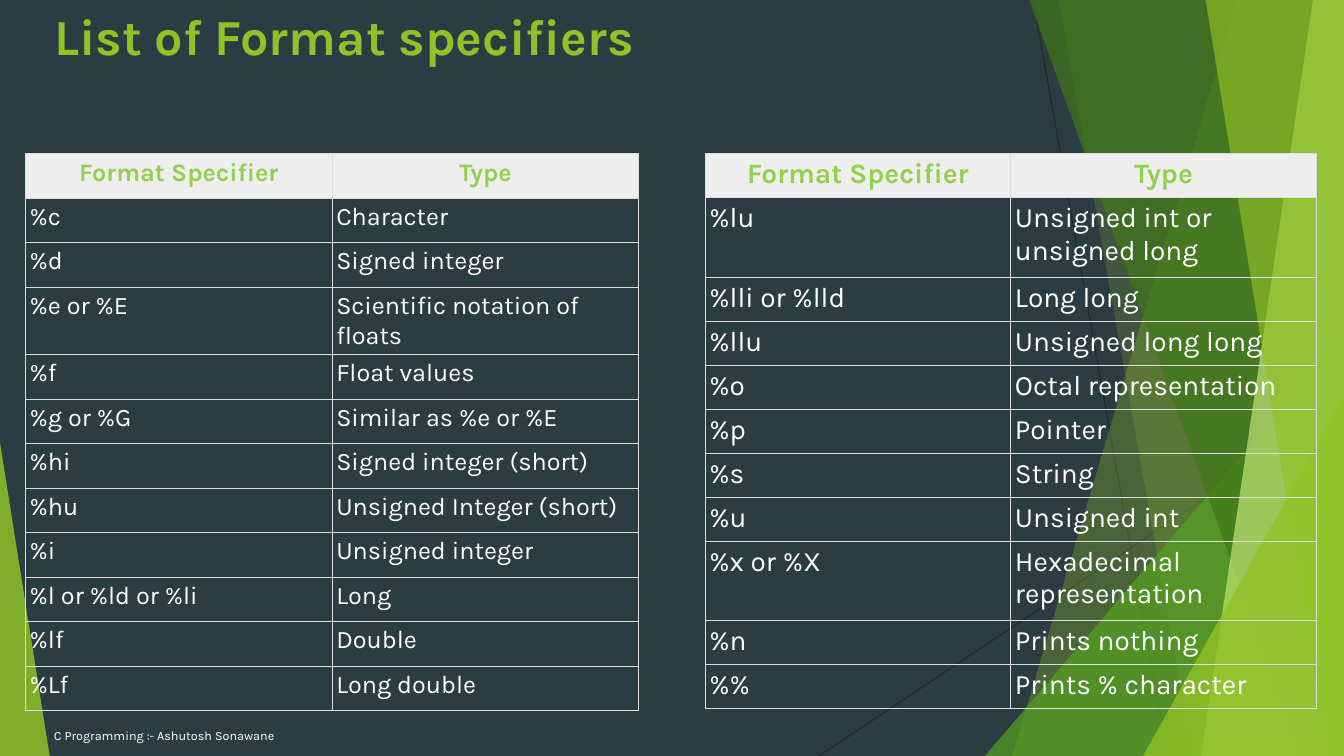
from lxml.etree import SubElement
from pptx import Presentation
from pptx.dml.color import RGBColor
from pptx.enum.shapes import MSO_CONNECTOR, MSO_SHAPE
from pptx.enum.text import MSO_ANCHOR, PP_ALIGN
from pptx.oxml.ns import qn
from pptx.util import Pt

SLATE = RGBColor(0x2C, 0x3C, 0x43)
DARK = RGBColor(0x26, 0x26, 0x26)
LIME = RGBColor(0x90, 0xC2, 0x26)
GREEN = RGBColor(0x54, 0xA0, 0x21)
FOREST = RGBColor(0x3F, 0x78, 0x19)
PALE = RGBColor(0xC0, 0xE4, 0x74)
HEAD = RGBColor(0x92, 0xD0, 0x50)
SILVER = RGBColor(0xEE, 0xEE, 0xEE)
BORDER = RGBColor(0xDD, 0xDD, 0xDD)
WHITE = RGBColor(0xFF, 0xFF, 0xFF)
FONT = "Karla"
WIDTH, HEIGHT = 960, 540


def style(para, size, color, bold=False):
    font = para.font
    font.name, font.size, font.bold = FONT, Pt(size), bold
    font.color.rgb = color


def paint(shape, color, alpha):
    """Fill a facet with a see-through colour; alpha is in percent."""
    shape.shadow.inherit = False
    shape.line.fill.background()
    shape.fill.solid()
    shape.fill.fore_color.rgb = color
    tone = shape._element.spPr.find(f".//{qn('a:srgbClr')}")
    SubElement(tone, qn("a:alpha"), val=str(alpha * 1000))


prs = Presentation()
prs.slide_width, prs.slide_height = Pt(WIDTH), Pt(HEIGHT)
slide = prs.slides.add_slide(prs.slide_layouts[5])
shapes = slide.shapes
slide.background.fill.solid()
slide.background.fill.fore_color.rgb = SLATE

# Thin lines behind the facets
for x1, y1, x2, y2 in [(738, 0, 834, HEIGHT), (WIDTH, 290, 585, HEIGHT)]:
    line = shapes.add_connector(
        MSO_CONNECTOR.STRAIGHT, Pt(x1), Pt(y1), Pt(x2), Pt(y2))
    line.line.color.rgb = DARK
    line.line.width = Pt(0.75)
    SubElement(line._element.spPr, qn("a:effectLst"))

# Bands: top x and bottom x of the left edge; the right edge is the slide's
# Wedges: left, top, width, apex
facets = [
    ("band", (884, 723), LIME, 30),
    ("band", (756, 852), LIME, 20),
    ("wedge", (703.5, 240, 256.5, 1), GREEN, 72),
    ("band", (735, 929.5), FOREST, 70),
    ("band", (938, 858), PALE, 70),
    ("band", (861, 949), LIME, 65),
    ("wedge", (816.5, 283, 143.5, 1), LIME, 80),
    ("wedge", (0, 316, 35.5, 0), LIME, 85),
]
for kind, dims, color, alpha in facets:
    if kind == "band":
        top, foot = dims
        path = shapes.build_freeform(Pt(top), Pt(-0.75))
        path.add_line_segments([
            (Pt(WIDTH), Pt(-0.75)), (Pt(WIDTH), Pt(HEIGHT)),
            (Pt(foot), Pt(HEIGHT))])
        facet = path.convert_to_shape()
    else:
        left, top, width, apex = dims
        facet = shapes.add_shape(
            MSO_SHAPE.ISOSCELES_TRIANGLE,
            Pt(left), Pt(top), Pt(width), Pt(HEIGHT - top))
        facet.adjustments[0] = apex
    paint(facet, color, alpha)

# Title, brought in front of the facets
title = shapes.title
shapes._spTree.append(title._element)
title.left, title.top = Pt(31.5), Pt(0)
title.width, title.height = Pt(772.5), Pt(63.5)
title.text_frame.text = "List of Format specifiers"
title.text_frame.vertical_anchor = MSO_ANCHOR.TOP
title.text_frame.paragraphs[0].alignment = PP_ALIGN.LEFT
style(title.text_frame.paragraphs[0], 36, LIME, True)

header = ("Format Specifier", "Type")
basic = [
    header,
    ("%c", "Character"),
    ("%d", "Signed integer"),
    ("%e or %E", "Scientific notation of floats"),
    ("%f", "Float values"),
    ("%g or %G", "Similar as %e or %E"),
    ("%hi", "Signed integer (short)"),
    ("%hu", "Unsigned Integer (short)"),
    ("%i", "Unsigned integer"),
    ("%l or %ld or %li", "Long"),
    ("%lf", "Double"),
    ("%Lf", "Long double"),
]
more = [
    header,
    ("%lu", "Unsigned int or unsigned long"),
    ("%lli or %lld", "Long long"),
    ("%llu", "Unsigned long long"),
    ("%o", "Octal representation"),
    ("%p", "Pointer"),
    ("%s", "String"),
    ("%u", "Unsigned int"),
    ("%x or %X", "Hexadecimal representation"),
    ("%n", "Prints nothing"),
    ("%%", "Prints % character"),
]
# Rows, left, column width, text size, row height, tall height, tall rows
tables = [
    (basic, 18.25, 219, 18, 31.8, 47.5, {3}),
    (more, 503.75, 218.25, 20, 31.45, 56.8, {1, 8}),
]
for rows, left, width, size, low, tall, wraps in tables:
    highs = [tall if r in wraps else low for r in range(len(rows))]
    table = shapes.add_table(
        len(rows), 2, Pt(left), Pt(109.75), Pt(2 * width), Pt(sum(highs))).table
    table.horz_banding = False
    for col in table.columns:
        col.width = Pt(width)
    for r, (row, high) in enumerate(zip(rows, highs)):
        table.rows[r].height = Pt(high)
        for c, text in enumerate(row):
            cell = table.cell(r, c)
            cell.text = text
            cell.margin_left = cell.margin_right = Pt(3)
            cell.margin_top = cell.margin_bottom = Pt(3)
            props = cell._tc.get_or_add_tcPr()
            for side in ("lnL", "lnR", "lnT", "lnB"):
                edge = SubElement(props, qn(f"a:{side}"), w=str(Pt(0.75)))
                fill = SubElement(edge, qn("a:solidFill"))
                SubElement(fill, qn("a:srgbClr"), val=str(BORDER))
            para = cell.text_frame.paragraphs[0]
            if r == 0:
                cell.fill.solid()
                cell.fill.fore_color.rgb = SILVER
                para.alignment = PP_ALIGN.CENTER
                style(para, size, HEAD, True)
            else:
                cell.fill.background()
                style(para, size, WHITE)

footer = shapes.add_textbox(Pt(31.5), Pt(511), Pt(496), Pt(29)).text_frame
footer.word_wrap = True
footer.vertical_anchor = MSO_ANCHOR.MIDDLE
footer.text = "C Programming :- Ashutosh Sonawane"
style(footer.paragraphs[0], 9, WHITE)

prs.save("out.pptx")
